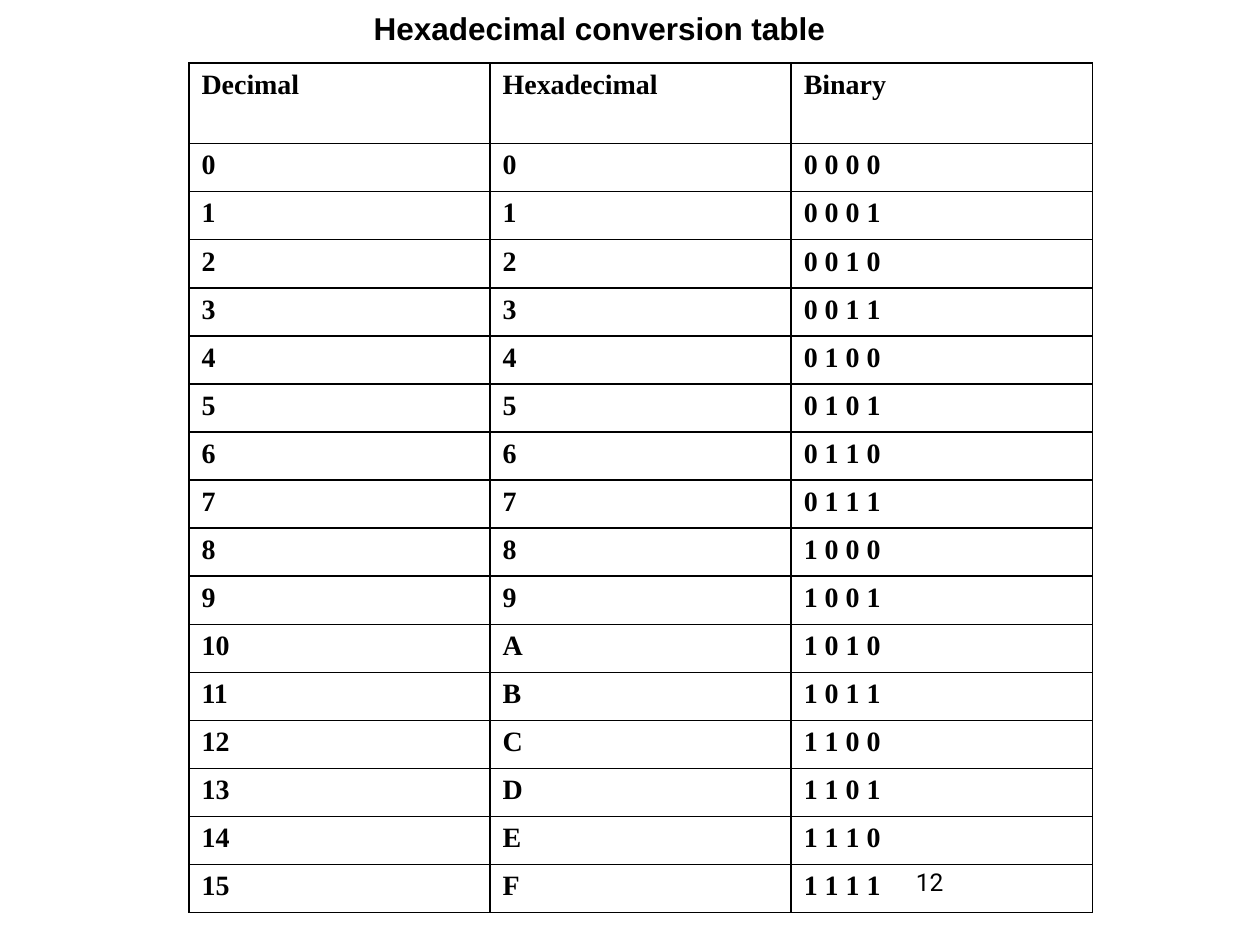
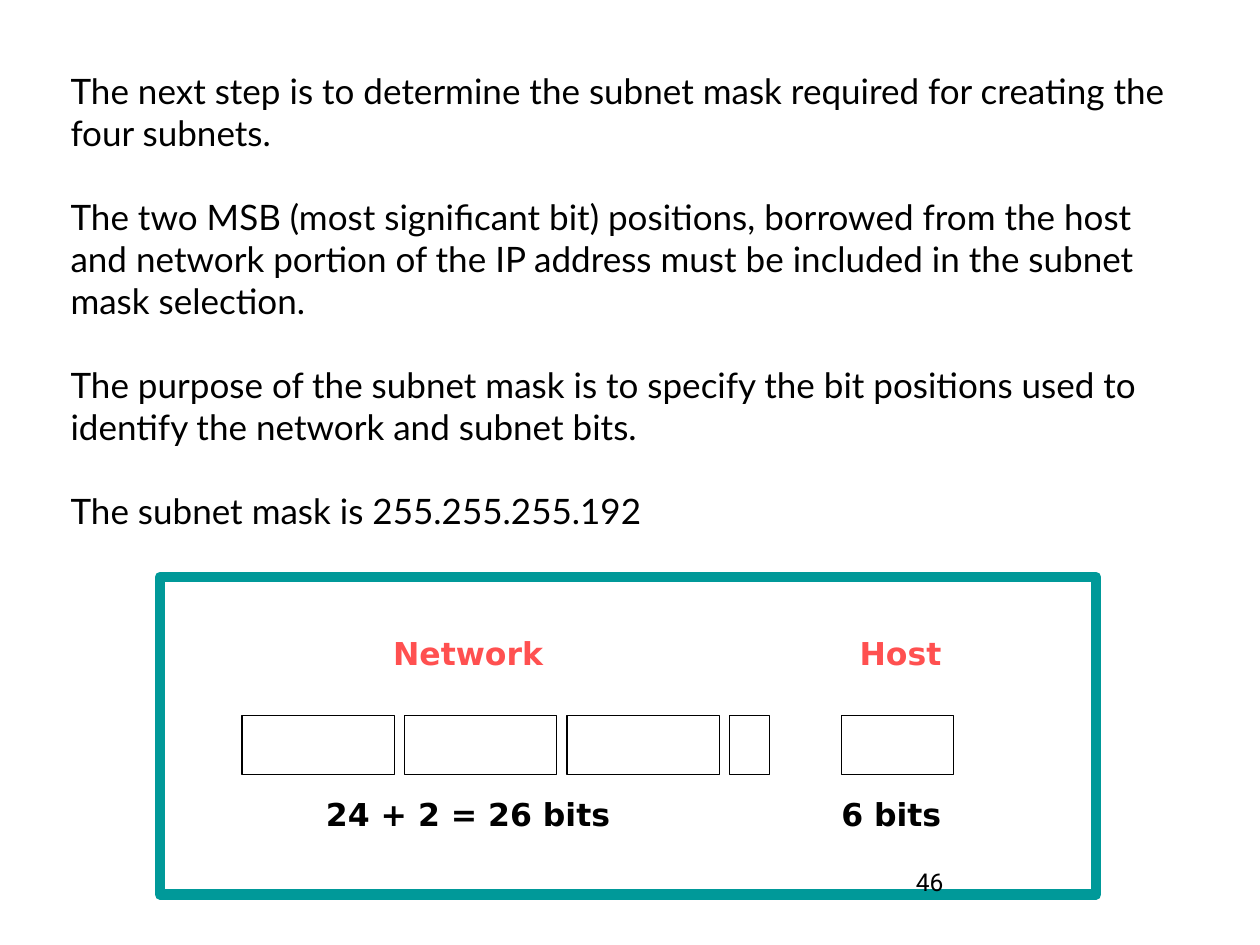
from pptx import Presentation
from pptx.dml.color import RGBColor as RGB
from pptx.enum.shapes import MSO_SHAPE as Shape
from pptx.enum.text import MSO_ANCHOR as Anchor, MSO_AUTO_SIZE as AutoSize, PP_ALIGN as Align
from pptx.oxml.ns import qn
from pptx.util import Inches, Pt
from lxml.etree import SubElement

COLORS = {"ink": "000000", "label": "FF5050", "frame": "009999"}
TITLE_FONT, TABLE_FONT, BODY_FONT = "Arial", "Times New Roman", "Lato"
LABEL_FONT, NUMBER_FONT = "DejaVu Sans", "Roboto"
COLS, ROWS = 100, 75  # grid over the whole slide
TITLE_ONLY, TITLE_AND_BODY = 5, 1


def write(p, text, font, size, color="ink", bold=False, align=Align.LEFT, before=0):
    p.alignment = align
    p.space_before = Pt(before)
    r = p.add_run()
    r.text = text
    r.font.name, r.font.size, r.font.bold = font, Pt(size), bold
    r.font.color.rgb = RGB.from_string(COLORS[color])


class Deck:
    def __init__(self):
        self.prs = Presentation()
        self.prs.slide_width, self.prs.slide_height = Inches(10), Inches(7.5)
        self.slide = None

    def box(self, col, row, cols, rows):
        """Turn grid units into left, top, width and height."""
        w, h = self.prs.slide_width, self.prs.slide_height
        return [round(v) for v in (col * w / COLS, row * h / ROWS,
                                   cols * w / COLS, rows * h / ROWS)]

    def new_slide(self, layout):
        self.slide = self.prs.slides.add_slide(self.prs.slide_layouts[layout])

    def place(self, sp, grid, anchor, wrap=True):
        sp.left, sp.top, sp.width, sp.height = self.box(*grid)
        tf = sp.text_frame
        tf.auto_size, tf.word_wrap, tf.vertical_anchor = AutoSize.NONE, wrap, anchor
        return tf

    def title(self, text, grid):
        tf = self.place(self.slide.shapes.title, grid, Anchor.MIDDLE, wrap=False)
        write(tf.paragraphs[0], text, TITLE_FONT, 18, bold=True, align=Align.RIGHT)

    def body(self, paragraphs, grid):
        title = self.slide.shapes.title.element
        title.getparent().remove(title)
        tf = self.place(self.slide.placeholders[1], grid, Anchor.TOP)
        for i, text in enumerate(paragraphs):
            p = tf.add_paragraph() if i else tf.paragraphs[0]
            pPr = p._p.get_or_add_pPr()
            pPr.set("marL", "0")
            pPr.set("indent", "0")
            SubElement(pPr, qn("a:buNone"))
            write(p, text, BODY_FONT, 20, before=24 if i else 0)

    def text(self, text, grid, font, size, anchor=Anchor.MIDDLE, **style):
        sp = self.slide.shapes.add_textbox(*self.box(*grid))
        tf = self.place(sp, grid, anchor)
        write(tf.paragraphs[0], text, font, size, **style)

    def number(self, n):
        self.text(str(n), (71.7, 68.3, 23.3, 5.2), NUMBER_FONT, 14, anchor=Anchor.TOP)

    def outline(self, grid, color="ink", width=0.75):
        sp = self.slide.shapes.add_shape(Shape.RECTANGLE, *self.box(*grid))
        sp.shadow.inherit = False
        sp.fill.background()
        sp.line.color.rgb = RGB.from_string(COLORS[color])
        sp.line.width = Pt(width)

    def table(self, rows, grid, header_rows):
        left, top, width, height = self.box(*grid)
        table = self.slide.shapes.add_table(len(rows), len(rows[0]), left, top,
                                            width, height).table
        table.first_row = table.horz_banding = False
        header = self.box(0, 0, 0, header_rows)[3]
        for i, values in enumerate(rows):
            table.rows[i].height = (height - header) // (len(rows) - 1) if i else header
            for cell, value in zip(table.rows[i].cells, values):
                write(cell.text_frame.paragraphs[0], value, TABLE_FONT, 16, bold=True)
                self.borders(cell)
                cell.fill.background()

    def borders(self, cell):
        tcPr = cell._tc.get_or_add_tcPr()
        for side in ("lnL", "lnR", "lnT", "lnB"):
            ln = SubElement(tcPr, qn(f"a:{side}"), w=str(Pt(1)))
            fill = SubElement(ln, qn("a:solidFill"))
            SubElement(fill, qn("a:srgbClr"), val=COLORS["ink"])


def conversion_slide(deck):
    deck.new_slide(TITLE_ONLY)
    deck.title("Hexadecimal conversion table", (28.3, 0.2, 38.2, 4))
    digits = [(str(n), f"{n:X}", " ".join(f"{n:04b}")) for n in range(16)]
    deck.table([("Decimal", "Hexadecimal", "Binary")] + digits,
               (15, 5, 71.7, 67.5), header_rows=6.4)
    deck.number(12)


def subnet_slide(deck):
    deck.new_slide(TITLE_AND_BODY)
    deck.body([
        "The next step is to determine the subnet mask required for creating the four subnets.",
        "The two MSB (most significant bit) positions, borrowed from the host and network "
        "portion of the IP address must be included in the subnet mask selection.",
        "The purpose of the subnet mask is to specify the bit positions used to identify "
        "the network and subnet bits.",
        "The subnet mask is 255.255.255.192",
    ], (4.6, 5, 90.8, 39))

    # Address bits: three octets, two borrowed bits, host bits
    deck.outline((12.7, 45.8, 74.3, 25.2), "frame", 6)
    octet, gap, row, height = 12.1, 0.8, 56.8, 4.7
    for i, width in enumerate((octet, octet, octet, 3.2)):
        deck.outline((19.2 + i * (octet + gap), row, width, height))
    deck.outline((66.8, row, 8.9, height))

    # Labels above and below the bits
    for top, color, network, host in ((49.8, "label", "Network", "Host"),
                                      (62.6, "ink", "24 + 2 = 26 bits", "6 bits")):
        style = dict(font=LABEL_FONT, size=18, color=color, bold=True)
        deck.text(network, (19.2, top, 35.9, 4), align=Align.CENTER, **style)
        deck.text(host, (60, top, 15.7, 4), align=Align.RIGHT, **style)
    deck.number(46)


def main():
    deck = Deck()
    conversion_slide(deck)
    subnet_slide(deck)
    deck.prs.save("out.pptx")


if __name__ == "__main__":
    main()
